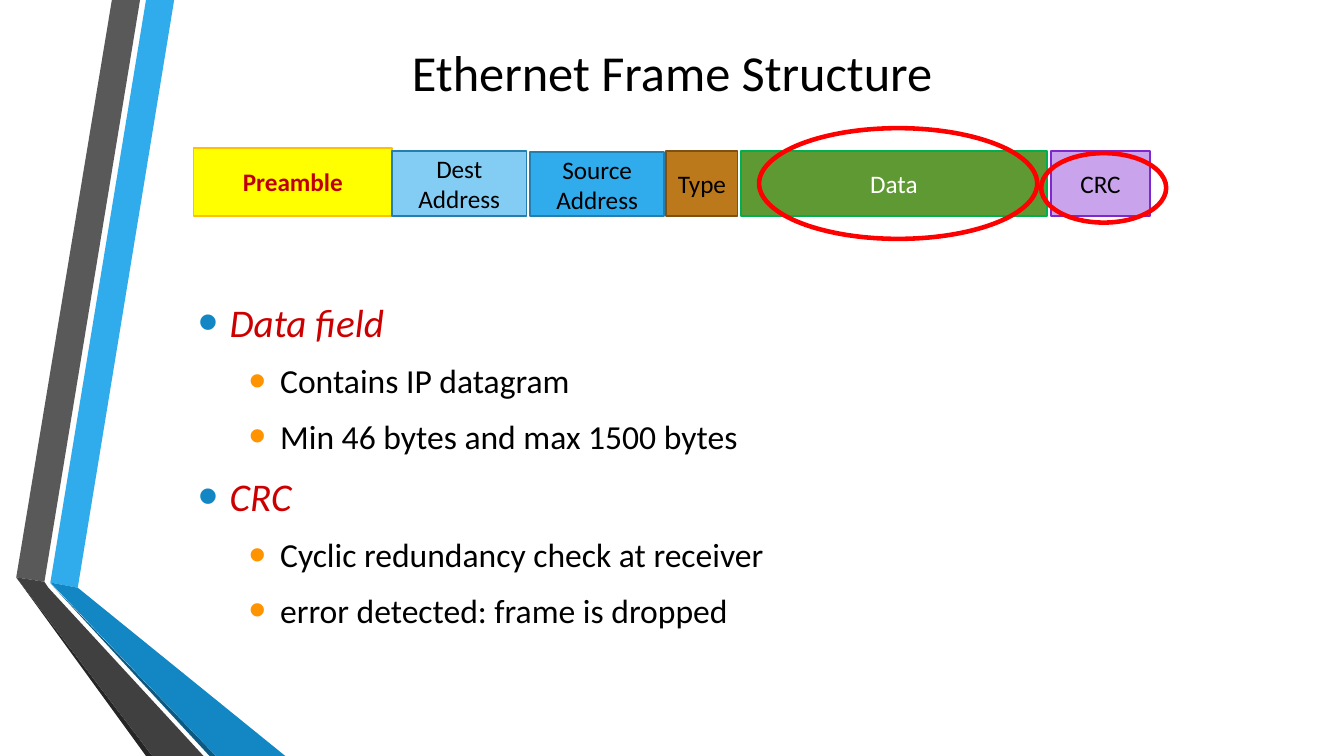
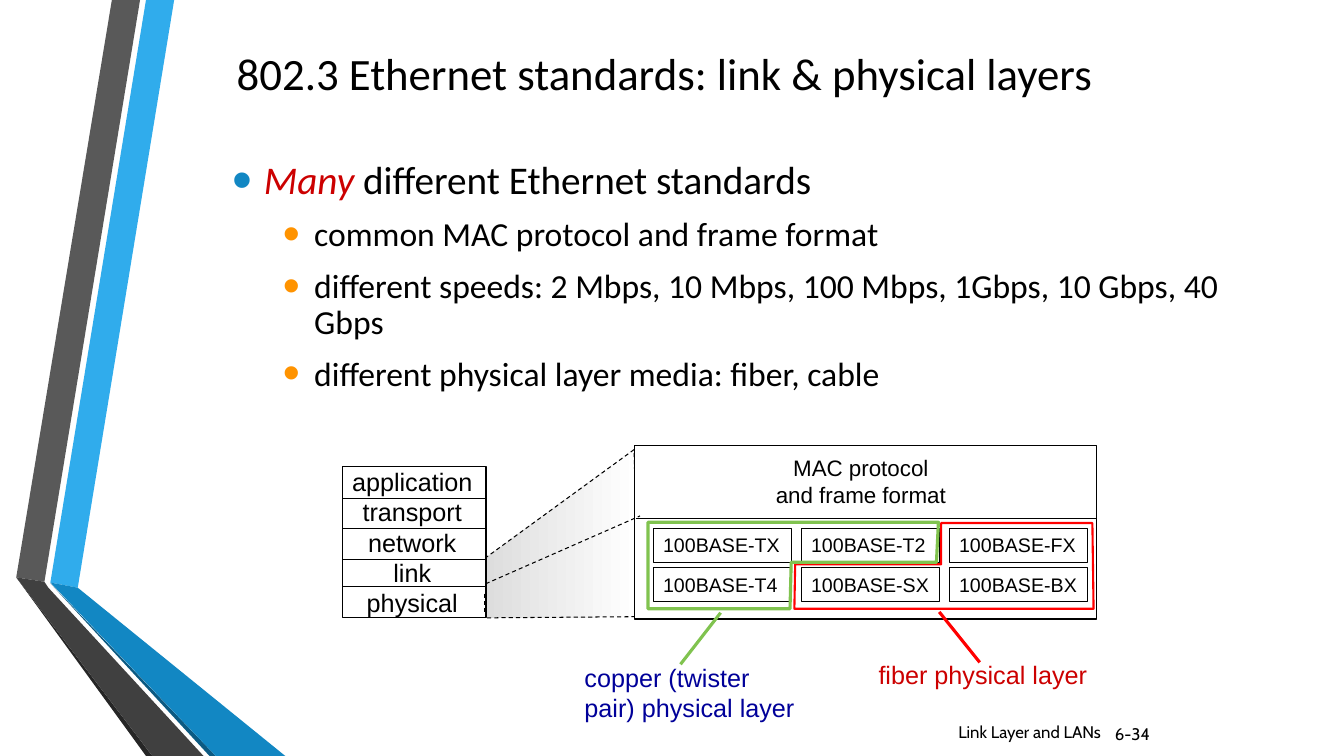
"""Build two slides on the Ethernet frame and the 802.3 standards."""
from dataclasses import dataclass
from typing import Optional

from lxml.etree import SubElement
from pptx import Presentation
from pptx.dml.color import RGBColor
from pptx.enum.dml import MSO_LINE
from pptx.enum.shapes import MSO_CONNECTOR, MSO_SHAPE
from pptx.enum.text import MSO_ANCHOR, PP_ALIGN
from pptx.oxml.ns import qn
from pptx.util import Cm, Pt

BLACK = RGBColor(0x00, 0x00, 0x00)
WHITE = RGBColor(0xFF, 0xFF, 0xFF)
SKY = RGBColor(0x30, 0xAC, 0xEC)
BLUE = RGBColor(0x12, 0x87, 0xC3)
NAVY = RGBColor(0x0C, 0x5A, 0x82)
GREY = RGBColor(0x59, 0x59, 0x59)
DARK_GREY = RGBColor(0x40, 0x40, 0x40)
CHARCOAL = RGBColor(0x26, 0x26, 0x26)
MIST = RGBColor(0xDD, 0xDD, 0xDD)
ORANGE = RGBColor(0xFF, 0x93, 0x00)
CRIMSON = RGBColor(0xCC, 0x00, 0x00)
DARK_RED = RGBColor(0xC0, 0x00, 0x00)
RED = RGBColor(0xFF, 0x00, 0x00)
INK_BLUE = RGBColor(0x00, 0x00, 0x99)
LIME = RGBColor(0x80, 0xC3, 0x4F)
YELLOW = RGBColor(0xFF, 0xFF, 0x00)
AMBER = RGBColor(0xFF, 0xC0, 0x00)
PALE_SKY = RGBColor(0x83, 0xCD, 0xF4)
STEEL = RGBColor(0x24, 0x7F, 0xAF)
BROWN = RGBColor(0xBC, 0x79, 0x1C)
DARK_BROWN = RGBColor(0x7D, 0x50, 0x13)
GREEN = RGBColor(0x5F, 0x99, 0x34)
EMERALD = RGBColor(0x00, 0xB0, 0x50)
LILAC = RGBColor(0xCA, 0xA3, 0xED)
VIOLET = RGBColor(0x7E, 0x28, 0xCD)

Points = list[tuple[float, float]]


@dataclass(frozen=True)
class Area:
    left: float
    top: float
    width: float
    height: float

    def lengths(self) -> tuple:
        return Cm(self.left), Cm(self.top), Cm(self.width), Cm(self.height)


@dataclass(frozen=True)
class Span:
    text: str
    size: float = 18
    color: RGBColor = BLACK
    font: str = "Calibri"
    bold: bool = False
    italic: bool = False


@dataclass(frozen=True)
class Stroke:
    color: RGBColor = BLACK
    width: float = 0.75
    dashed: bool = False


@dataclass(frozen=True)
class Bullet:
    spans: list[Span]
    level: int = 0


@dataclass(frozen=True)
class Field:
    lines: list[str]
    left: float
    top: float
    width: float
    fill: RGBColor
    edge: RGBColor
    color: RGBColor = BLACK
    bold: bool = False


@dataclass(frozen=True)
class Callout:
    outline: Points
    stroke: Stroke
    pointer: tuple[float, float, float, float]
    lines: list[str]
    area: Area
    color: RGBColor


THIN = Stroke()
DASHED = Stroke(dashed=True)
FIELD_BOTTOM = 5.44

RIBBONS: list[tuple[RGBColor, Points]] = [
    (SKY, [(1.27, 14.68), (1.96, 14.81), (4.39, 0), (3.68, 0)]),
    (GREY, [(3.53, 0), (2.82, 0), (0.41, 14.55), (1.12, 14.66)]),
    (CHARCOAL, [(0.41, 14.55), (3.68, 19.05), (3.84, 19.05)]),
    (NAVY, [(1.27, 14.7), (5.28, 19.05), (5.44, 19.05)]),
    (BLUE, [(1.27, 14.68), (5.44, 19.05), (7.19, 19.05), (1.96, 14.81)]),
    (DARK_GREY, [(5.13, 19.05), (1.22, 14.81), (1.12, 14.66), (0.41, 14.55), (3.84, 19.05)]),
]

FIELDS = [
    Field(["Preamble"], 4.88, 3.73, 5, YELLOW, AMBER, DARK_RED, True),
    Field(["Source", "Address"], 13.36, 3.84, 3.38, SKY, STEEL),
    Field(["Dest", "Address"], 9.88, 3.81, 3.39, PALE_SKY, STEEL),
    Field(["Type"], 16.79, 3.81, 1.8, BROWN, DARK_BROWN),
    Field(["Data"], 18.67, 3.81, 7.72, GREEN, EMERALD, WHITE),
    Field(["CRC"], 26.49, 3.81, 2.49, LILAC, VIOLET),
]

STANDARDS = [
    ["100BASE-TX", "100BASE-T2", "100BASE-FX"],
    ["100BASE-T4", "100BASE-SX", "100BASE-BX"],
]

CALLOUTS = [
    Callout(
        [(23.72, 13.18), (23.72, 14.22), (20.04, 14.22), (20.02, 15.34), (27.56, 15.34), (27.53, 13.18)],
        Stroke(RED, 1.5), (23.67, 15.42, 24.69, 16.69),
        ["fiber physical layer"], Area(21.89, 16.48, 5.82, 1.02), CRIMSON,
    ),
    Callout(
        [(23.65, 13.16), (23.6, 14.17), (19.94, 14.17), (19.91, 15.34), (16.33, 15.34), (16.33, 13.16)],
        Stroke(LIME, 2.25), (18.16, 15.44, 17.15, 16.74),
        ["copper (twister", "pair) physical layer"], Area(14.48, 16.56, 5.87, 1.8), INK_BLUE,
    ),
]


def add_span(para, span: Span) -> None:
    run = para.add_run()
    run.text = span.text
    font = run.font
    font.name, font.size, font.color.rgb = span.font, Pt(span.size), span.color
    font.bold, font.italic = span.bold, span.italic


def write_lines(shape, spans: list[Span], align=PP_ALIGN.LEFT, anchor=MSO_ANCHOR.TOP,
                wrap: bool = True) -> None:
    frame = shape.text_frame
    frame.word_wrap, frame.vertical_anchor = wrap, anchor
    for index, span in enumerate(spans):
        para = frame.add_paragraph() if index else frame.paragraphs[0]
        para.alignment = align
        add_span(para, span)


def add_text(page, area: Area, spans: list[Span], **layout) -> None:
    write_lines(page.shapes.add_textbox(*area.lengths()), spans, **layout)


def set_stroke(line, stroke: Optional[Stroke]) -> None:
    if stroke is None:
        line.fill.background()
        return
    line.color.rgb, line.width = stroke.color, Pt(stroke.width)
    if stroke.dashed:
        line.dash_style = MSO_LINE.DASH


def style_shape(shape, fill: Optional[RGBColor], stroke: Optional[Stroke]) -> None:
    shape.shadow.inherit = False
    if fill is None:
        shape.fill.background()
    else:
        shape.fill.solid()
        shape.fill.fore_color.rgb = fill
    set_stroke(shape.line, stroke)


def add_preset(page, area: Area, fill: Optional[RGBColor], stroke: Stroke, kind=MSO_SHAPE.RECTANGLE):
    shape = page.shapes.add_shape(kind, *area.lengths())
    style_shape(shape, fill, stroke)
    return shape


def add_polygon(page, points: Points, fill: Optional[RGBColor] = None, stroke: Optional[Stroke] = None):
    corners = [(Cm(x), Cm(y)) for x, y in points]
    builder = page.shapes.build_freeform(*corners[0])
    builder.add_line_segments(corners[1:], close=True)
    shape = builder.convert_to_shape()
    style_shape(shape, fill, stroke)
    return shape


def add_line(page, start_x: float, start_y: float, end_x: float, end_y: float, stroke: Stroke = THIN) -> None:
    line = page.shapes.add_connector(MSO_CONNECTOR.STRAIGHT, Cm(start_x), Cm(start_y), Cm(end_x), Cm(end_y))
    set_stroke(line.line, stroke)
    SubElement(line._element.spPr, qn("a:effectLst"))


def add_bullets(page, area: Area, bullets: list[Bullet], spacing: float) -> None:
    frame = page.shapes.add_textbox(*area.lengths()).text_frame
    frame.word_wrap = True
    for index, bullet in enumerate(bullets):
        para = frame.add_paragraph() if index else frame.paragraphs[0]
        para.level = bullet.level
        properties = para._p.get_or_add_pPr()
        properties.set("marL", str(Cm(0.79 + 1.27 * bullet.level)))
        properties.set("indent", str(-Cm(0.79)))
        color = SubElement(properties, qn("a:buClr"))
        SubElement(color, qn("a:srgbClr"), val=str(ORANGE if bullet.level else BLUE))
        SubElement(properties, qn("a:buSzPct"), val="145000")
        SubElement(properties, qn("a:buFont"), typeface="Arial")
        SubElement(properties, qn("a:buChar"), char="•")
        para.line_spacing, para.space_after = spacing, Pt(6)
        if index:
            para.space_before = Pt(0.2 * bullet.spans[0].size)
        for span in bullet.spans:
            add_span(para, span)


def heading(text: str) -> Span:
    return Span(text, 28, CRIMSON, italic=True)


def detail(text: str) -> Bullet:
    return Bullet([Span(text, 24)], 1)


def add_page(deck, title: str, size: float, area: Area):
    page = deck.slides.add_slide(deck.slide_layouts[6])
    for color, points in RIBBONS:
        add_polygon(page, points, color)
    add_text(page, area, [Span(title, size)], align=PP_ALIGN.CENTER, anchor=MSO_ANCHOR.MIDDLE)
    return page


def build_frame_page(deck) -> None:
    page = add_page(deck, "Ethernet Frame Structure", 36, Area(6.15, 0.95, 21.59, 1.7))
    for field in FIELDS:
        area = Area(field.left, field.top, field.width, FIELD_BOTTOM - field.top)
        box = add_preset(page, area, field.fill, Stroke(field.edge, 1.25))
        spans = [Span(text, color=field.color, bold=field.bold) for text in field.lines]
        write_lines(box, spans, PP_ALIGN.CENTER, MSO_ANCHOR.MIDDLE)
    add_bullets(page, Area(4.75, 7.38, 22.99, 9), [
        Bullet([heading("Data field")]),
        detail("Contains IP datagram"),
        detail("Min 46 bytes and max 1500 bytes"),
        Bullet([heading("CRC")]),
        detail("Cyclic redundancy check at receiver"),
        detail("error detected: frame is dropped"),
    ], 1.0)
    for area in (Area(19.13, 3.23, 7.01, 2.79), Area(26.24, 3.86, 3.15, 1.75)):
        add_preset(page, area, None, Stroke(RED, 3.25), MSO_SHAPE.OVAL)


def add_layer_stack(page) -> None:
    add_preset(page, Area(8.64, 11.76, 3.61, 3.81), WHITE, THIN)
    layers = ["application", "transport", "network", "link", "physical"]
    add_text(page, Area(8.61, 11.63, 3.56, 4.06), [Span(layer, font="Arial") for layer in layers],
             align=PP_ALIGN.CENTER, wrap=False)
    for height in (12.55, 13.31, 14.1, 14.79):
        add_line(page, 8.64, height, 12.22, height)
    for left, top in ((8.64, 15.01), (12.22, 14.96)):
        add_line(page, left, top, left, top + 0.48, DASHED)


def build_standards_page(deck) -> None:
    page = add_page(deck, "802.3 Ethernet standards: link & physical layers", 32, Area(4.65, 0.25, 24.21, 3.18))
    add_bullets(page, Area(5.61, 3.92, 25.53, 6.3), [
        Bullet([heading("Many "), Span("different Ethernet standards", 28)]),
        detail("common MAC protocol and frame format"),
        detail("different speeds: 2 Mbps, 10 Mbps, 100 Mbps, 1Gbps, 10 Gbps, 40 Gbps"),
        detail("different physical layer media: fiber, cable"),
    ], 0.9)
    wedge = add_polygon(page, [(15.98, 11.33), (12.22, 14.07), (12.24, 15.57), (16.08, 15.54)], stroke=DASHED)
    wedge.fill.gradient()
    wedge.fill.gradient_angle = 0
    for stop, color in zip(wedge.fill.gradient_stops, (MIST, WHITE)):
        stop.color.rgb = color
    add_layer_stack(page)
    add_preset(page, Area(15.98, 11.23, 11.66, 4.37), WHITE, THIN)
    add_line(page, 16.03, 13.06, 27.64, 13.06)
    add_text(page, Area(19.28, 11.33, 4.83, 1.63),
             [Span(text, 16, font="Arial") for text in ("MAC protocol", "and frame format")],
             align=PP_ALIGN.CENTER, wrap=False)
    add_line(page, 12.24, 14.71, 16.13, 13, DASHED)
    for row, names in enumerate(STANDARDS):
        for column, name in enumerate(names):
            area = Area(16.46 + 3.73 * column, 13.31 + row, 3.48, 0.86)
            write_lines(add_preset(page, area, None, THIN), [Span(name, 14, font="Arial")], wrap=False)
    for callout in CALLOUTS:
        add_polygon(page, callout.outline, stroke=callout.stroke)
        add_line(page, *callout.pointer, Stroke(callout.stroke.color, 2.25))
        add_text(page, callout.area, [Span(text, color=callout.color, font="Arial") for text in callout.lines],
                 wrap=False)
    for text, area in (("6-34", Area(27.71, 18.11, 1.52, 0.76)),
                       ("Link Layer and LANs", Area(21.95, 18.11, 6.05, 0.66))):
        add_text(page, area, [Span(text, 12, font="Cabin")], align=PP_ALIGN.RIGHT, anchor=MSO_ANCHOR.MIDDLE)


def main() -> None:
    deck = Presentation()
    deck.slide_width, deck.slide_height = Cm(33.87), Cm(19.05)
    build_frame_page(deck)
    build_standards_page(deck)
    deck.save("out.pptx")


if __name__ == "__main__":
    main()
